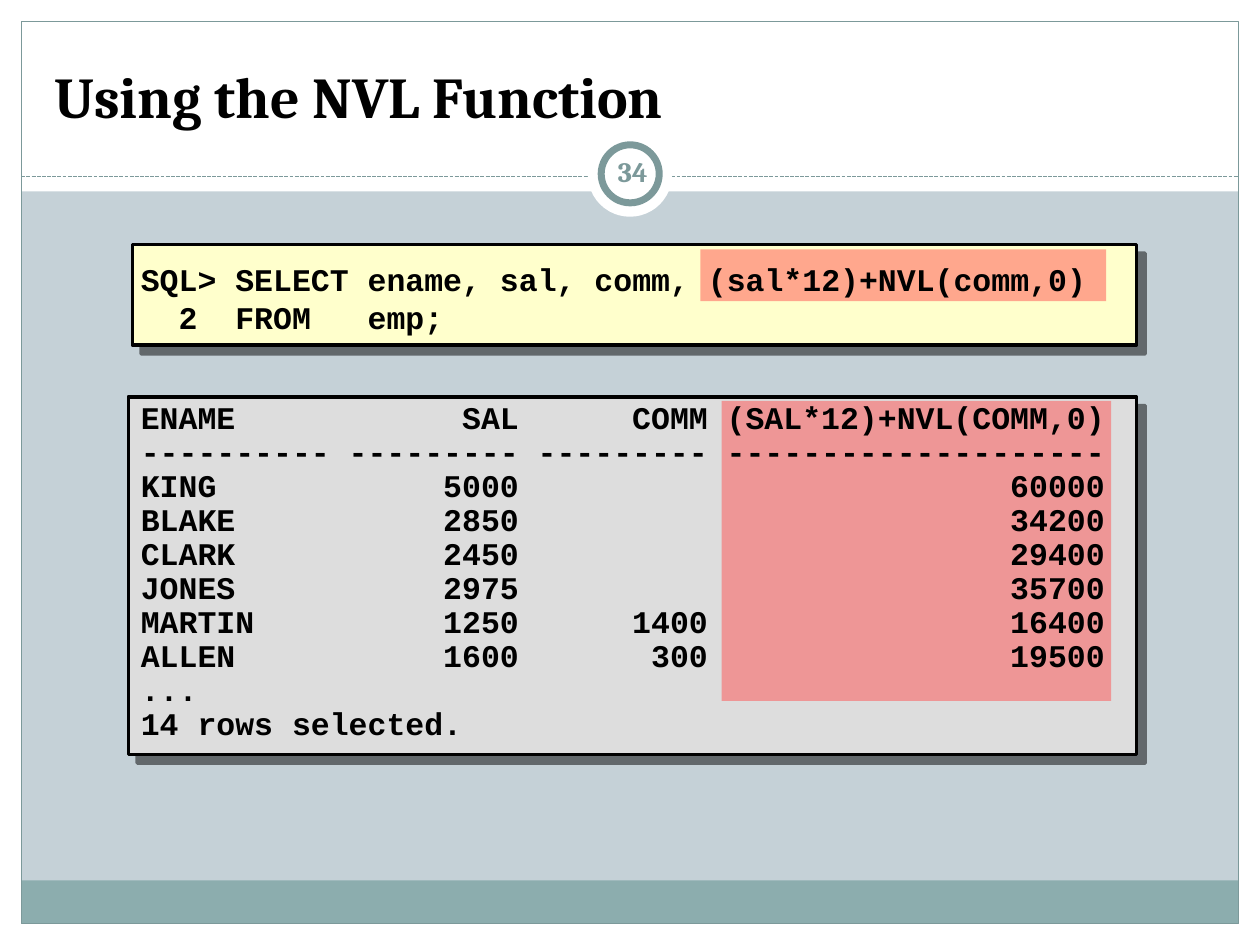
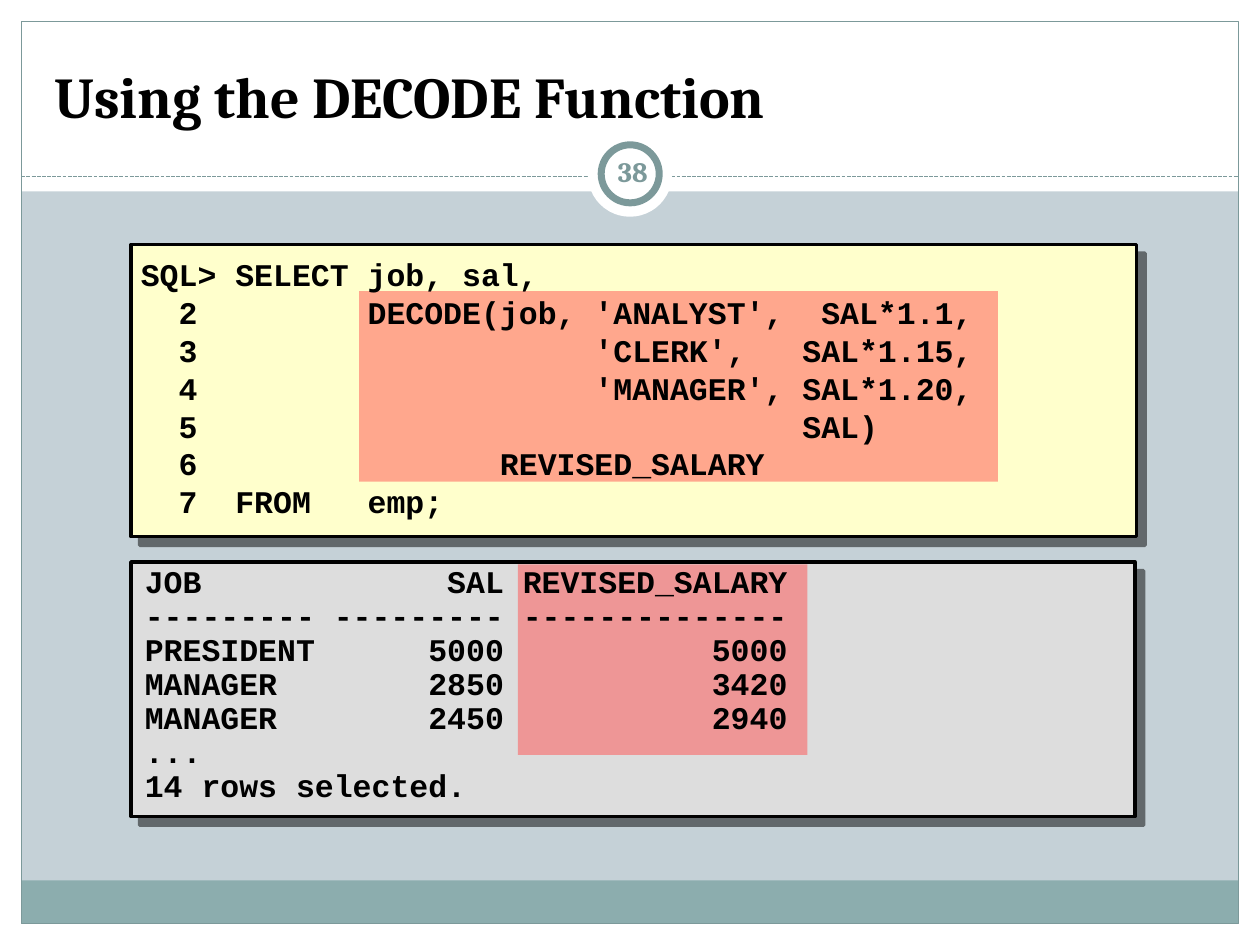
from lxml.etree import SubElement
from pptx import Presentation
from pptx.dml.color import RGBColor
from pptx.enum.dml import MSO_LINE
from pptx.enum.shapes import MSO_CONNECTOR, MSO_SHAPE
from pptx.enum.text import MSO_ANCHOR, PP_ALIGN
from pptx.oxml.ns import qn
from pptx.util import Cm, Pt

COLORS = {
    "ground": "C5D1D7", "white": "FFFFFF", "band": "8CADAE", "accent": "7C999A",
    "text": "000000", "code": "FFFFCC", "result": "DDDDDD", "highlight": "FF5050",
}
SERIF, MONO = "Cambria", "Courier New"
WIDTH, HEIGHT = 25.4, 19.05
MARGIN = 0.43
CHAR = 0.381
INSETS = (0.25, 0.13)

NVL_CODE = [
    "SQL> SELECT ename, sal, comm, (sal*12)+NVL(comm,0)",
    "  2  FROM   emp;",
]
NVL_RESULT = [
    "ENAME\tSAL\tCOMM\t(SAL*12)+NVL(COMM,0)",
    "----------\t---------\t---------\t--------------------",
    "KING\t5000\t\t60000",
    "BLAKE\t2850\t\t34200",
    "CLARK\t2450\t\t29400",
    "JONES\t2975\t\t35700",
    "MARTIN\t1250\t1400\t16400",
    "ALLEN\t1600\t300\t19500",
    "...",
    "14 rows selected.",
]
DECODE_CODE = [
    "SQL> SELECT job, sal,",
    "  2         DECODE(job, 'ANALYST',  SAL*1.1,",
    "  3                     'CLERK',   SAL*1.15,",
    "  4                     'MANAGER', SAL*1.20,",
    "  5                                SAL)",
    "  6                REVISED_SALARY",
    "  7  FROM   emp;",
]
DECODE_RESULT = [
    "JOB\tSAL\tREVISED_SALARY",
    "---------\t---------\t--------------",
    "PRESIDENT\t5000\t5000",
    "MANAGER\t2850\t3420",
    "MANAGER\t2450\t2940",
    "...",
    "14 rows selected.",
]


def rgb(name):
    """Return the named colour."""
    return RGBColor.from_string(COLORS[name])


def shift(box, part):
    """Return a part given relative to a box as a box on the slide."""
    return box[0] + part[0], box[1] + part[1], part[2], part[3]


def add_shape(slide, box, fill=None, line=None, width=0.75, kind=MSO_SHAPE.RECTANGLE):
    """Add a flat preset shape."""
    sp = slide.shapes.add_shape(kind, *map(Cm, box))
    sp.shadow.inherit = False
    if fill:
        sp.fill.solid()
        sp.fill.fore_color.rgb = rgb(fill)
    else:
        sp.fill.background()
    if line:
        sp.line.color.rgb = rgb(line)
        sp.line.width = Pt(width)
    else:
        sp.line.fill.background()
    return sp


def add_text(slide, box, lines, font, size, color="text", anchor=MSO_ANCHOR.TOP,
             align=PP_ALIGN.LEFT, spacing=None, columns=(), insets=INSETS):
    """Add bold lines of text, with right tabs at the ends of the columns."""
    tf = slide.shapes.add_textbox(*map(Cm, box)).text_frame
    tf.word_wrap = True
    tf.vertical_anchor = anchor
    tf.margin_left = tf.margin_right = Cm(insets[0])
    tf.margin_top = tf.margin_bottom = Cm(insets[1])
    for i, line in enumerate(lines):
        p = tf.paragraphs[0] if i == 0 else tf.add_paragraph()
        p.text = line
        p.alignment = align
        if spacing:
            p.line_spacing = spacing
        if columns:
            tabs = SubElement(p._p.get_or_add_pPr(), qn("a:tabLst"))
            for end in columns:
                SubElement(tabs, qn("a:tab"), pos=str(Cm(end * CHAR)), algn="r")
        p.font.name = font
        p.font.size = Pt(size)
        p.font.bold = True
        p.font.color.rgb = rgb(color)


def add_shadow(sp):
    """Give a shape a hard shadow to the lower right."""
    effects = sp._element.spPr.find(qn("a:effectLst"))
    shadow = SubElement(effects, qn("a:outerShdw"), blurRad="0", dist=str(Pt(7.1)),
                        dir="2700000", algn="ctr", rotWithShape="0")
    color = SubElement(shadow, qn("a:srgbClr"), val=COLORS["text"])
    SubElement(color, qn("a:alpha"), val="50000")


def add_frame(slide):
    """Draw the background, margins, footer band and outline."""
    slide.background.fill.solid()
    slide.background.fill.fore_color.rgb = rgb("ground")
    inner = WIDTH - 2 * MARGIN
    for box in ((0, HEIGHT - MARGIN, WIDTH, MARGIN), (0, 0, WIDTH, 3.86),
                (0, 0, MARGIN, HEIGHT), (WIDTH - MARGIN, 0, MARGIN, HEIGHT)):
        add_shape(slide, box, "white")
    add_shape(slide, (MARGIN, 17.75, inner, 0.87), "band")
    add_shape(slide, (MARGIN, MARGIN, inner, HEIGHT - 2 * MARGIN), line="accent")


def add_header(slide, title, number):
    """Add the title, the dashed rule and the number in its ring."""
    rule = slide.shapes.add_connector(
        MSO_CONNECTOR.STRAIGHT, Cm(MARGIN), Cm(3.56), Cm(WIDTH - MARGIN), Cm(3.56))
    rule.line.color.rgb = rgb("accent")
    rule.line.width = Pt(0.75)
    rule.line.dash_style = MSO_LINE.SQUARE_DOT
    SubElement(rule._element.spPr, qn("a:effectLst"))
    add_shape(slide, (11.85, 2.67, 1.7, 1.7), "white", kind=MSO_SHAPE.OVAL)
    add_shape(slide, (12.12, 2.92, 1.17, 1.17), "white", "accent", 4, MSO_SHAPE.OVAL)
    add_text(slide, (0.84, 0.64, 23.7, 2.11), [title], SERIF, 33, anchor=MSO_ANCHOR.BOTTOM)
    add_text(slide, (12.12, 2.84, 1.27, 1.22), [str(number)], SERIF, 16, "accent",
             MSO_ANCHOR.MIDDLE, PP_ALIGN.CENTER, insets=(0.13, 0.13))


def add_panel(slide, box, fill, highlight, text_box, lines, **style):
    """Add a shadowed panel with a highlight behind part of its text."""
    add_shadow(add_shape(slide, box, fill, "text", 2))
    sp = add_shape(slide, shift(box, highlight), "highlight")
    color = sp._element.spPr.find(qn("a:solidFill")).find(qn("a:srgbClr"))
    SubElement(color, qn("a:alpha"), val="50000")
    add_text(slide, shift(box, text_box), lines, MONO, 18, **style)


def add_code(slide, box, highlight, text_box, lines):
    """Add a panel with a query."""
    add_panel(slide, box, "code", highlight, text_box, lines, anchor=MSO_ANCHOR.MIDDLE)


def add_result(slide, box, highlight, text_box, lines, columns):
    """Add a panel with the output of a query."""
    add_panel(slide, box, "result", highlight, text_box, lines,
              spacing=0.9, columns=columns)


def add_slide(prs, title, number, code, result):
    """Add a slide with a query above its output."""
    slide = prs.slides.add_slide(prs.slide_layouts[6])
    add_frame(slide)
    add_header(slide, title, number)
    add_code(slide, *code)
    add_result(slide, *result)


def main():
    """Build the slides and save them."""
    prs = Presentation()
    prs.slide_width, prs.slide_height = Cm(WIDTH), Cm(HEIGHT)
    add_slide(
        prs, "Using the NVL Function", 34,
        ((2.67, 4.93, 20.24, 2.03), (11.45, 0.1, 8.18, 1.04),
         (-0.08, -0.31, 20.32, 2.77), NVL_CODE),
        ((2.59, 8, 20.32, 7.21), (11.96, 0.08, 7.85, 6.05),
         (0, -0.02, 20.24, 7.14), NVL_RESULT, (20, 30, 51)))
    add_slide(
        prs, "Using the DECODE Function", 38,
        ((2.64, 4.93, 20.27, 5.89), (4.6, 0.94, 12.88, 3.84),
         (-0.05, -0.1, 20.32, 5.97), DECODE_CODE),
        ((2.64, 11.33, 20.24, 5.13), (7.8, 0.05, 5.84, 3.84),
         (0.03, -0.05, 20.19, 5.08), DECODE_RESULT, (19, 34)))
    prs.save("out.pptx")


if __name__ == "__main__":
    main()
